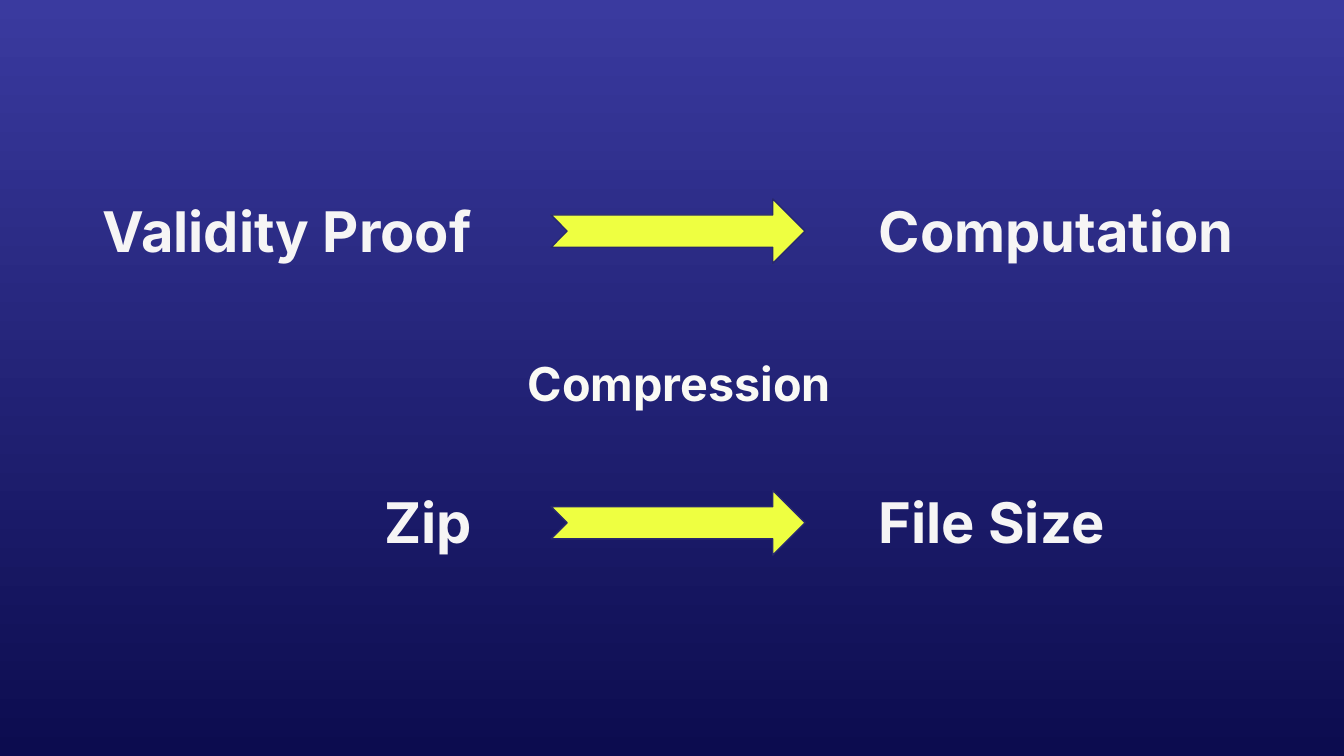
import dataclasses

import pptx
import pptx.dml.color
import pptx.enum.shapes
import pptx.enum.text
import pptx.slide
import pptx.util

Inches = pptx.util.Inches
Color = pptx.dml.color.RGBColor.from_string
Align = pptx.enum.text.PP_ALIGN


@dataclasses.dataclass(frozen=True)
class Theme:
    font: str = "Inter"
    top: str = "3A3A9F"
    base: str = "0C0C4F"
    text: str = "F6F5F5"
    accent: str = "FAFAF5"
    arrow: str = "EEFF41"
    edge: str = "28286E"
    large: float = 30
    small: float = 25
    line: float = 0.75


THEME = Theme()


@dataclasses.dataclass(frozen=True)
class Label:
    text: str
    left: float
    top: float
    width: float
    height: float = 0.71
    align: Align = Align.LEFT
    size: float = THEME.large
    color: str = THEME.text


@dataclasses.dataclass(frozen=True)
class Pair:
    source: str
    target: str
    top: float
    left: float
    width: float


EDGE = 3.61  # right side of the source labels
PAIRS = [
    Pair("Validity Proof", "Computation", 1.36, 0.58, 2.89),
    Pair("Zip", "File Size", 3.53, 1.47, 2.69),
]


def paint_back(slide: pptx.slide.Slide) -> None:
    fill = slide.background.fill
    fill.gradient()
    fill.gradient_angle = 270  # top to bottom
    for stop, color in zip(fill.gradient_stops, (THEME.top, THEME.base)):
        stop.color.rgb = Color(color)


def add_label(slide: pptx.slide.Slide, label: Label) -> None:
    box = slide.shapes.add_textbox(
        Inches(label.left), Inches(label.top),
        Inches(label.width), Inches(label.height))
    frame = box.text_frame
    frame.word_wrap = True
    frame.auto_size = pptx.enum.text.MSO_AUTO_SIZE.SHAPE_TO_FIT_TEXT
    frame.margin_left = frame.margin_right = Inches(0.1)
    frame.margin_top = frame.margin_bottom = Inches(0.1)
    para = frame.paragraphs[0]
    para.text = label.text
    para.alignment = label.align
    para.font.name = THEME.font
    para.font.size = pptx.util.Pt(label.size)
    para.font.bold = True
    para.font.color.rgb = Color(label.color)


def add_arrow(slide: pptx.slide.Slide, top: float) -> None:
    arrow = slide.shapes.add_shape(
        pptx.enum.shapes.MSO_SHAPE.NOTCHED_RIGHT_ARROW,
        Inches(4.1), Inches(top), Inches(1.89), Inches(0.48))
    arrow.shadow.inherit = False
    arrow.fill.solid()
    arrow.fill.fore_color.rgb = Color(THEME.arrow)
    arrow.line.color.rgb = Color(THEME.edge)
    arrow.line.width = pptx.util.Pt(THEME.line)


def add_pair(slide: pptx.slide.Slide, pair: Pair) -> None:
    add_label(slide, Label(pair.source, pair.left, pair.top,
                           EDGE - pair.left, align=Align.RIGHT))
    add_label(slide, Label(pair.target, 6.44, pair.top, pair.width))
    add_arrow(slide, pair.top + 0.12)


def main() -> None:
    deck = pptx.Presentation()
    deck.slide_width = Inches(10)
    deck.slide_height = Inches(10) * 9 // 16
    slide = deck.slides.add_slide(deck.slide_layouts[6])
    paint_back(slide)

    # Analogy rows
    for pair in PAIRS:
        add_pair(slide, pair)

    # Shared idea between the rows
    add_label(slide, Label("Compression", 3.65, 2.54, 2.81, 0.62,
                           Align.CENTER, THEME.small, THEME.accent))
    deck.save("out.pptx")


if __name__ == "__main__":
    main()
